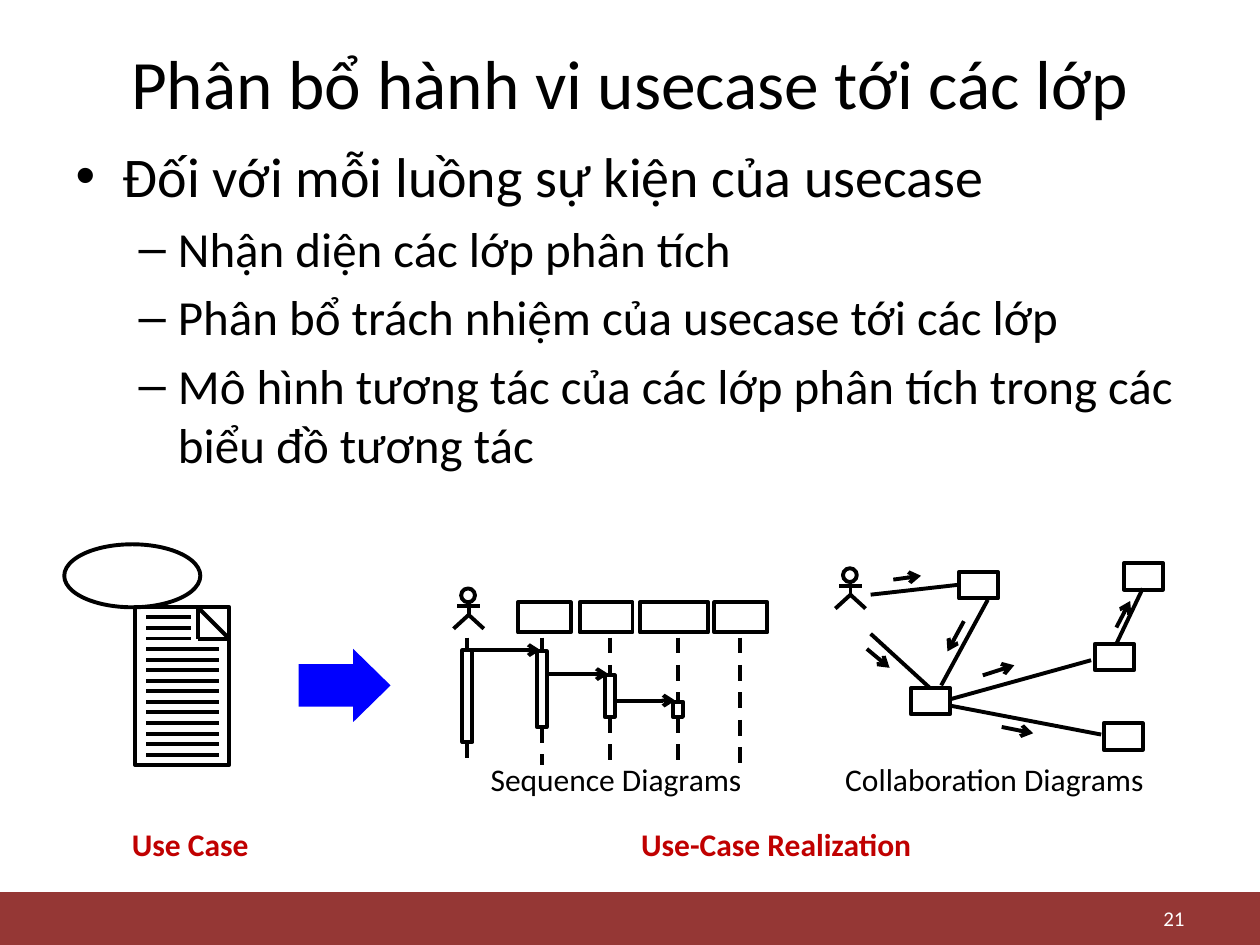
from lxml import etree
from pptx import Presentation
from pptx.dml.color import RGBColor
from pptx.enum import dml, shapes, text
from pptx.oxml.ns import qn
from pptx.util import Inches, Pt

COLORS = {"ink": "000000", "band": "953735", "arrow": "0000FF",
          "label": "C00000", "number": "FFFFFF"}
FONT = "Calibri"
ALIGN = text.PP_ALIGN


def color(name):
    return RGBColor.from_string(COLORS[name])


class Sketch:
    """Draws in one style on the page, or in the group opened last."""

    def __init__(self, page):
        self.page = page
        self.canvas = page.shapes

    def group(self):
        self.canvas = self.page.shapes.add_group_shape().shapes

    def ungroup(self):
        self.canvas = self.page.shapes

    def outline(self, shape):
        shape.line.color.rgb = color("ink")
        shape.line.width = Pt(2.25)

    def shape(self, kind, left, top, width, height, fill=None):
        """Adds a filled shape without a line, or an outlined one without a fill."""
        shape = self.canvas.add_shape(kind, *map(Inches, (left, top, width, height)))
        shape.shadow.inherit = False
        if fill:
            shape.fill.solid()
            shape.fill.fore_color.rgb = color(fill)
            shape.line.fill.background()
        else:
            shape.fill.background()
            self.outline(shape)
        return shape

    def box(self, left, top, width, height):
        return self.shape(shapes.MSO_SHAPE.RECTANGLE, left, top, width, height)

    def ellipse(self, left, top, width, height):
        return self.shape(shapes.MSO_SHAPE.OVAL, left, top, width, height)

    def line(self, x1, y1, x2, y2, dashed=False, arrow=False):
        line = self.canvas.add_connector(
            shapes.MSO_CONNECTOR.STRAIGHT, *map(Inches, (x1, y1, x2, y2)))
        self.outline(line)
        if dashed:
            line.line.dash_style = dml.MSO_LINE.DASH
        if arrow:
            etree.SubElement(line.line._get_or_add_ln(), qn("a:tailEnd"), type="arrow")
        etree.SubElement(line._element.spPr, qn("a:effectLst"))

    def actor(self, x, top):
        """Stick figure centred on x."""
        self.ellipse(x - 0.06, top, 0.11, 0.11)
        self.line(x, top + 0.11, x, top + 0.21)
        self.line(x - 0.09, top + 0.14, x + 0.09, top + 0.14)
        builder = self.canvas.build_freeform(Inches(x - 0.12), Inches(top + 0.32))
        builder.add_line_segments([(Inches(x), Inches(top + 0.21)),
                                   (Inches(x + 0.12), Inches(top + 0.32))], close=False)
        legs = builder.convert_to_shape()
        legs.shadow.inherit = False
        legs.fill.background()
        self.outline(legs)

    def style(self, para, size, ink="ink", bold=False):
        for span in para.runs:
            span.font.name = FONT
            span.font.size = Pt(size)
            span.font.bold = bold
            span.font.color.rgb = color(ink)

    def label(self, words, left, top, width, height=0.4, size=18, ink="ink",
              bold=False, align=ALIGN.CENTER, anchor=text.MSO_ANCHOR.TOP):
        frame = self.canvas.add_textbox(
            *map(Inches, (left, top, width, height))).text_frame
        frame.word_wrap = True
        frame.vertical_anchor = anchor
        frame.text = words
        frame.paragraphs[0].alignment = align
        self.style(frame.paragraphs[0], size, ink, bold)

    def placeholder(self, index, left, top, width, height, items):
        """Fills a placeholder with (words, level, size) paragraphs."""
        holder = self.page.placeholders[index]
        holder.left, holder.top, holder.width, holder.height = map(
            Inches, (left, top, width, height))
        frame = holder.text_frame
        frame.auto_size = text.MSO_AUTO_SIZE.NONE
        frame.text = "\n".join(item[0] for item in items)
        for para, (_, level, size) in zip(frame.paragraphs, items):
            para.level = level
            self.style(para, size)


def draw_use_case(sketch):
    sketch.group()
    sketch.ellipse(0.51, 4.32, 1.08, 0.5)
    sketch.box(1.07, 4.82, 0.75, 1.25)
    corner = [(1.57, 4.82), (1.82, 5.07), (1.57, 5.07)]
    for start, end in zip(corner, corner[1:] + corner[:1]):
        sketch.line(*start, *end)
    for row in range(14):
        y = 4.9 + row * 1.09 / 13
        sketch.line(1.16, y, 1.52 if row < 3 else 1.74, y)
    sketch.ungroup()


def draw_collaboration(sketch):
    sketch.group()
    sketch.actor(6.75, 4.51)
    links = [(6.91, 5.03, 7.38, 5.46), (6.91, 4.72, 7.62, 4.64),
             (7.54, 5.6, 8.74, 5.83), (7.54, 5.55, 8.66, 5.24),
             (8.86, 5.11, 9.07, 4.67), (7.84, 4.76, 7.47, 5.44)]
    messages = [(6.88, 5.15, 7.06, 5.3), (7.65, 4.93, 7.52, 5.17),
                (7.8, 5.36, 8.05, 5.28), (7.95, 5.77, 8.2, 5.82),
                (8.86, 4.98, 8.97, 4.77), (7.09, 4.6, 7.31, 4.57)]
    for link in links:
        sketch.line(*link)
    for message in messages:
        sketch.line(*message, arrow=True)
    sketch.label("Collaboration Diagrams", 6.61, 5.98, 2.82, align=ALIGN.LEFT)
    for left, top in [(7.61, 4.54), (7.23, 5.46), (8.76, 5.74), (8.69, 5.11), (8.92, 4.47)]:
        sketch.box(left, top, 0.31, 0.21)
    sketch.ungroup()


def draw_sequence(sketch):
    top, bottom = 5.06, 6.07
    sketch.group()
    sketch.label("Sequence Diagrams", 3.52, 5.98, 2.74)
    sketch.actor(3.72, 4.67)
    for start, end, y in [(3.71, 4.29, 5.16), (4.9, 5.36, 5.56), (4.33, 4.83, 5.35)]:
        sketch.line(start, y, end, y, arrow=True)
    activations = [(3.71, 5.16, 5.89), (4.3, 5.17, 5.77), (4.84, 5.36, 5.69), (5.38, 5.57, 5.69)]
    for x, begin, finish in activations:
        sketch.line(x, top, x, begin, dashed=True)
        sketch.line(x, finish, x, bottom, dashed=True)
        sketch.box(x - 0.04, begin, 0.08, finish - begin)
    sketch.line(5.87, top, 5.87, bottom, dashed=True)
    for left, width in [(4.11, 0.42), (4.6, 0.42), (5.08, 0.54), (5.67, 0.42)]:
        sketch.box(left, 4.78, width, 0.24)
    sketch.ungroup()


def main():
    deck = Presentation()
    deck.slide_width, deck.slide_height = Inches(10), Inches(7.5)
    sketch = Sketch(deck.slides.add_slide(deck.slide_layouts[1]))

    sketch.shape(shapes.MSO_SHAPE.RECTANGLE, 0, 7.08, 10, 0.42, fill="band")
    sketch.placeholder(0, 0.5, 0.3, 9, 0.7, [("Phân bổ hành vi usecase tới các lớp", 0, 39.6)])
    sketch.placeholder(1, 0.5, 1.07, 9, 5.63, [
        ("Đối với mỗi luồng sự kiện của usecase", 0, 32),
        ("Nhận diện các lớp phân tích", 1, 28),
        ("Phân bổ trách nhiệm của usecase tới các lớp", 1, 28),
        ("Mô hình tương tác của các lớp phân tích trong các biểu đồ tương tác", 1, 28)])
    sketch.label("21", 7.17, 7.15, 2.33, 0.27, size=12, ink="number",
                 align=ALIGN.RIGHT, anchor=text.MSO_ANCHOR.MIDDLE)

    draw_use_case(sketch)
    arrow = sketch.shape(shapes.MSO_SHAPE.RIGHT_ARROW, 2.37, 5.15, 0.73, 0.58, fill="arrow")
    arrow.adjustments[0], arrow.adjustments[1] = 0.58, 0.51
    sketch.label("Use Case", 0.51, 6.5, 2, ink="label", bold=True)
    sketch.label("Use-Case Realization", 4.99, 6.5, 2.91, ink="label", bold=True,
                 align=ALIGN.LEFT)
    draw_collaboration(sketch)
    draw_sequence(sketch)
    deck.save("out.pptx")


if __name__ == "__main__":
    main()
